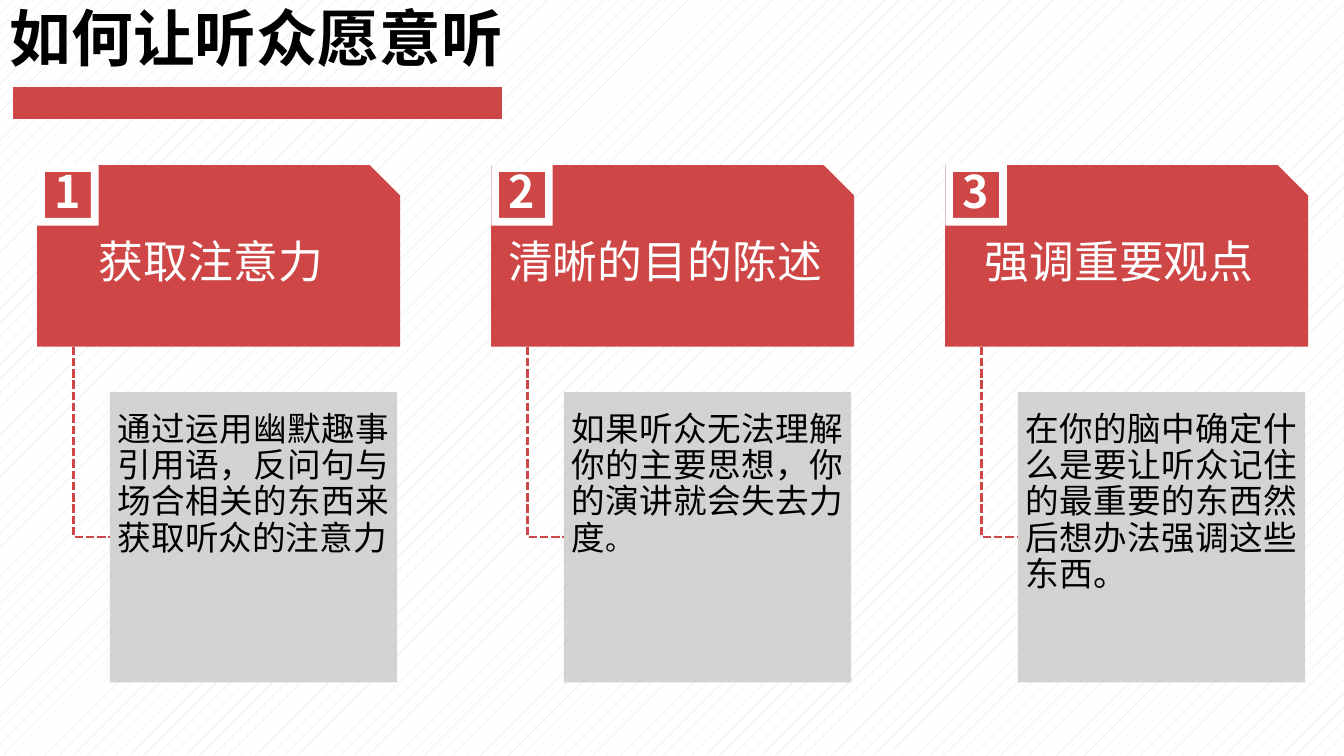
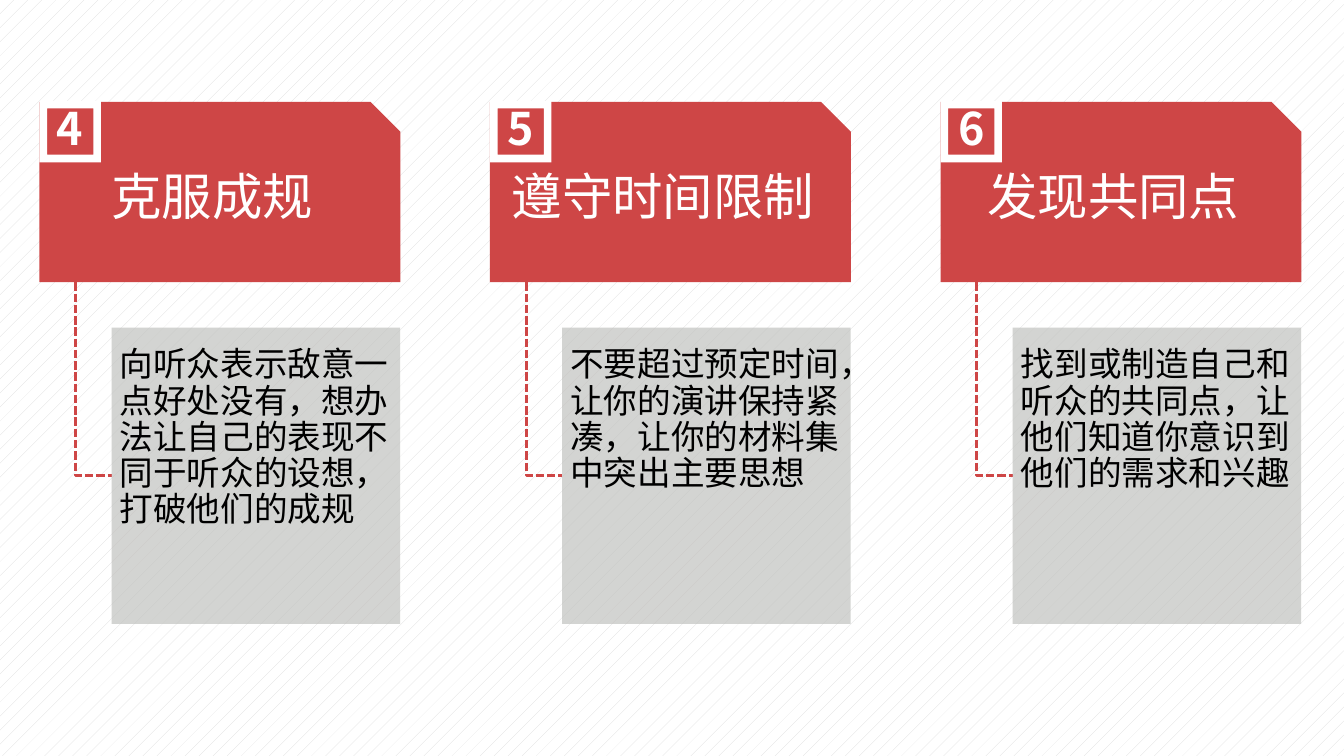
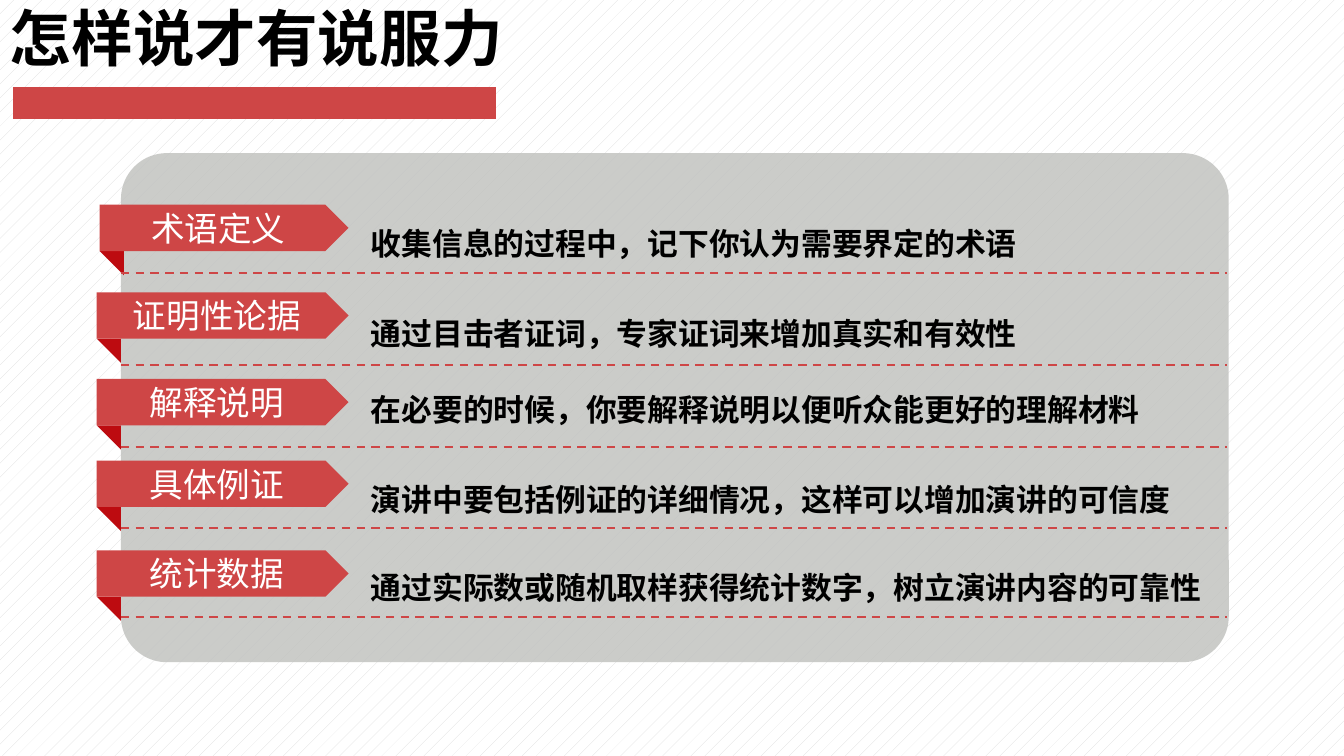
from pptx import Presentation, util as u
from pptx.dml.color import RGBColor
from pptx.enum import dml, shapes, text
from pptx.oxml.ns import qn
from lxml import etree

FONT = "Noto Sans CJK SC"
RED, DARK_RED, GREY = "CE4646", "BD0B10", "C1C2BF"
BLACK, WHITE, STRIPE = "000000", "FFFFFF", "DBDBDB"
SHAPE, ALIGN, ANCHOR = shapes.MSO_SHAPE, text.PP_ALIGN, text.MSO_ANCHOR
DASH = dml.MSO_LINE

# Each body is a list of (text, size) runs
CARD_SLIDES = [
    dict(
        title="如何让听众愿意听", underline=358.6, first=1,
        left=26.6, top=118, pitch=324.3, width=259.2, height=129.6,
        head_size=32, elbow=136, body_width=205.2, body_height=207.4,
        align=ALIGN.JUSTIFY,
        cards=[
            ("获取注意力", [("通过运用幽默趣事引用语，反问句与场合相关的东西来获取听众的注意力", 24)]),
            ("清晰的目的陈述", [("如果听众无法理解你的主要思想，你的演讲就会失去力度", 24), ("。", 20)]),
            ("强调重要观点", [("在你的脑中确定什么是要让听众记住的最重要的东西然后想办法强调这些东西。", 24)]),
        ]),
    dict(
        title=None, first=4,
        left=28.2, top=72.7, pitch=321.8, width=257.8, height=128.9,
        head_size=36, elbow=138.2, body_width=206, body_height=211.7,
        align=ALIGN.LEFT,
        cards=[
            ("克服成规", [("向听众表示敌意一点好处没有，想办法让自己的表现不同于听众的设想，打破他们的成规", 24)]),
            ("遵守时间限制", [("不要超过预定时间，让你的演讲保持紧凑，让你的材料集中突出主要思想", 24)]),
            ("发现共同点", [("找到或制造自己和听众的共同点，让他们知道你意识到他们的需求和兴趣", 24)]),
        ]),
]

PERSUASION_TITLE, PERSUASION_UNDERLINE = "怎样说才有说服力", 354.2
# label, explanation, tag left, tag top, explanation top, rule height
PERSUASION_ROWS = [
    ("术语定义", "收集信息的过程中，记下你认为需要界定的术语", 71.2, 146.2, 157, 195.1),
    ("证明性论据", "通过目击者证词，专家证词来增加真实和有效性", 69.1, 208.8, 221, 260.6),
    ("解释说明", "在必要的时候，你要解释说明以便听众能更好的理解材料", 69.1, 270.7, 275.8, 319),
    ("具体例证", "演讲中要包括例证的详细情况，这样可以增加演讲的可信度", 69.1, 329, 339.8, 377.3),
    ("统计数据", "通过实际数或随机取样获得统计数字，树立演讲内容的可靠性", 69.1, 393.1, 402.5, 440.6),
]
TAG_RIGHT, TAG_HEIGHT = 249, 33.1


def rgb(value):
    return RGBColor.from_string(value)


def write(sp, runs, color, bold=False, align=ALIGN.LEFT, anchor=ANCHOR.TOP,
          insets=(7.2, 3.6, 7.2, 3.6), spacing=1.0):
    """Fill a shape with one paragraph of (text, size) runs."""
    tf = sp.text_frame
    tf.word_wrap, tf.vertical_anchor = True, anchor
    for side, inset in zip(("left", "top", "right", "bottom"), insets):
        setattr(tf, f"margin_{side}", u.Pt(inset))
    p = tf.paragraphs[0]
    p.alignment, p.line_spacing = align, spacing
    for words, size in runs:
        r = p.add_run()
        r.text = words
        for name, value in dict(name=FONT, size=u.Pt(size), bold=bold).items():
            setattr(r.font, name, value)
        r.font.color.rgb = rgb(color)
        etree.SubElement(r.font._element, qn("a:ea")).set("typeface", FONT)


def add_text(s, box, runs, color, **style):
    write(s.shapes.add_textbox(*map(u.Pt, box)), runs, color, **style)


def add_shape(s, kind, box, color, opacity=100):
    sp = s.shapes.add_shape(kind, *map(u.Pt, box))
    sp.shadow.inherit = False
    sp.fill.solid()
    sp.fill.fore_color.rgb = rgb(color)
    sp.line.fill.background()
    if opacity < 100:
        clr = sp.fill._xPr.find(".//" + qn("a:srgbClr"))
        etree.SubElement(clr, qn("a:alpha")).set("val", str(opacity * 1000))
    return sp


def style_line(line, width, dash=None):
    line.color.rgb = rgb(RED)
    line.width = u.Pt(width)
    if dash:
        line.dash_style = dash


def add_rule(s, x1, x2, y, width, dash=None):
    rule = s.shapes.add_connector(shapes.MSO_CONNECTOR.STRAIGHT, *map(u.Pt, (x1, y, x2, y)))
    etree.SubElement(rule._element.spPr, qn("a:effectLst"))
    style_line(rule.line, width, dash)
    # The effect list has to follow the line
    rule._element.spPr.append(rule._element.spPr.find(qn("a:effectLst")))


def add_elbow(s, x, y, width, height):
    points = [tuple(map(u.Pt, xy)) for xy in ((x, y), (x, y + height), (x + width, y + height))]
    builder = s.shapes.build_freeform(*points[0])
    builder.add_line_segments(points[1:], close=False)
    sp = builder.convert_to_shape()
    sp.shadow.inherit = False
    sp.fill.background()
    style_line(sp.line, 2, DASH.SQUARE_DOT)


def add_title(s, title, underline):
    add_text(s, (0, 0, 368, 60), [(title, 44)], BLACK, bold=True,
             anchor=ANCHOR.MIDDLE, spacing=0.9)
    add_rule(s, 9.4, underline, 73.4, 23)


def add_card(s, x, number, head, body, d):
    top, width, height = d["top"], d["width"], d["height"]
    bottom = top + height
    add_shape(s, SHAPE.SNIP_1_RECTANGLE, (x, top, width, height), RED)
    add_text(s, (x, top + 10.8, width - 10.8, height - 10.8), [(head, d["head_size"])],
             WHITE, align=ALIGN.CENTER, anchor=ANCHOR.MIDDLE,
             insets=(5, 3, 5, 3), spacing=0.9)
    add_elbow(s, x + width * 0.1, bottom, width * 0.1, d["elbow"])
    panel = add_shape(s, SHAPE.RECTANGLE, (x + width * 0.2, bottom + 32.4,
                                           d["body_width"], d["body_height"]), GREY, 70)
    write(panel, body, BLACK, align=d["align"], insets=(5.8, 14.4, 5.8, 2.9), spacing=0.9)
    add_shape(s, SHAPE.FRAME, (x, top - 0.7, 43.9, 43.9), WHITE)
    add_text(s, (x, top - 5.6, 43.9, 48), [(str(number), 32)], WHITE, bold=True,
             align=ALIGN.CENTER, anchor=ANCHOR.MIDDLE, insets=(0, 0, 0, 0))


def build_cards(s, d):
    if d["title"]:
        add_title(s, d["title"], d["underline"])
    for i, (head, body) in enumerate(d["cards"]):
        add_card(s, d["left"] + i * d["pitch"], d["first"] + i, head, body, d)


def build_persuasion(s):
    add_title(s, PERSUASION_TITLE, PERSUASION_UNDERLINE)
    panel = add_shape(s, SHAPE.ROUNDED_RECTANGLE, (86.4, 109.4, 791.3, 363.6), GREY, 83)
    panel.adjustments[0] = 0.09
    for label, explanation, left, top, text_top, rule_y in PERSUASION_ROWS:
        fold = add_shape(s, SHAPE.RIGHT_TRIANGLE, (left, top + TAG_HEIGHT, 17.3, 17.3), DARK_RED)
        fold.rotation = 180
        tag = add_shape(s, SHAPE.PENTAGON, (left, top, TAG_RIGHT - left, TAG_HEIGHT), RED)
        write(tag, [(label, 24)], WHITE, align=ALIGN.CENTER, anchor=ANCHOR.MIDDLE,
              insets=(7.2, 0, 7.2, 0))
        add_text(s, (257.8, text_top, 660, 33.8), [(explanation, 22)], BLACK, bold=True)
        add_rule(s, 86.4, 876.2, rule_y, 1.5, DASH.DASH)


def main():
    prs = Presentation()
    prs.slide_width, prs.slide_height = u.Pt(960), u.Pt(540)
    fill = prs.slide_master.background.fill
    fill.patterned()
    fill.pattern = dml.MSO_PATTERN.PERCENT_5
    fill.fore_color.rgb, fill.back_color.rgb = rgb(STRIPE), rgb(WHITE)
    blank = prs.slide_layouts[6]
    for d in CARD_SLIDES:
        build_cards(prs.slides.add_slide(blank), d)
    build_persuasion(prs.slides.add_slide(blank))
    prs.save("out.pptx")


if __name__ == "__main__":
    main()
